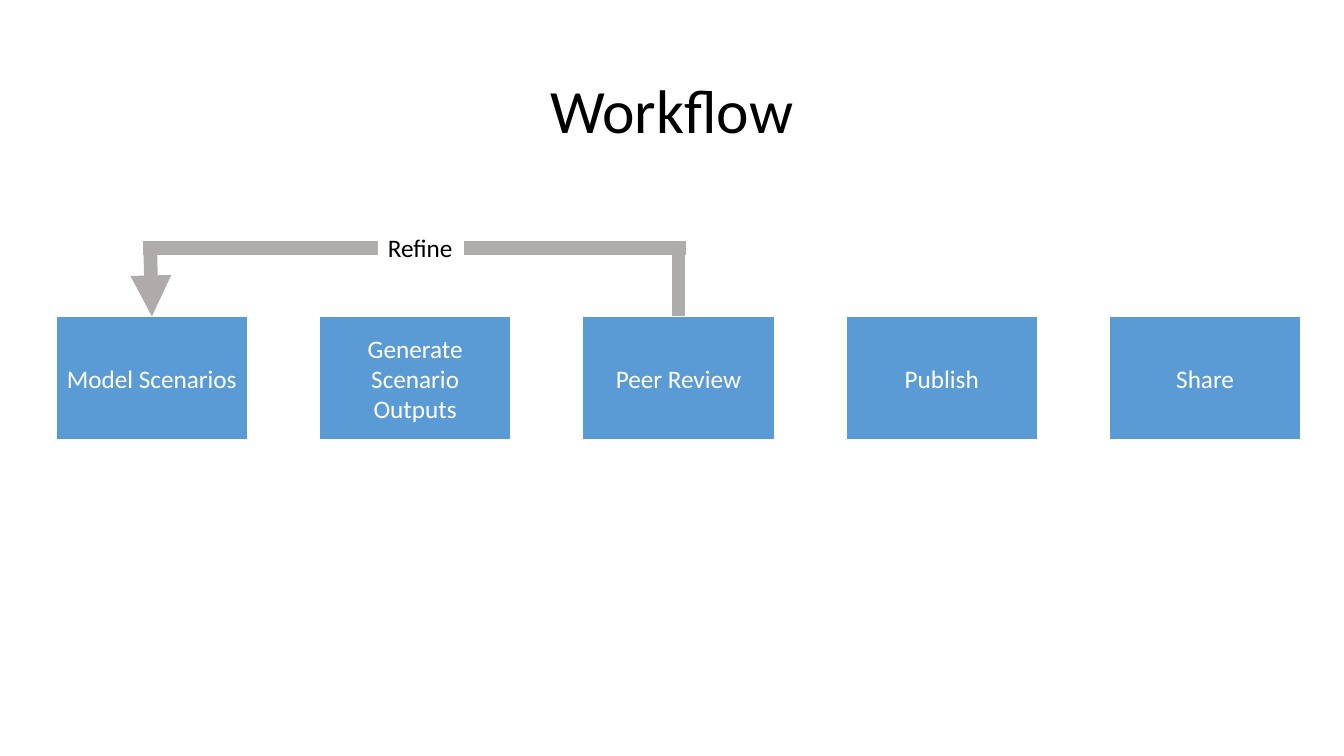
"""Build the Workflow slide: five steps with a Refine loop."""
from lxml.etree import SubElement
from pptx import Presentation
from pptx.dml.color import RGBColor
from pptx.enum.shapes import MSO_CONNECTOR, MSO_SHAPE
from pptx.enum.text import MSO_ANCHOR, PP_ALIGN
from pptx.oxml.ns import qn
from pptx.util import Pt


def color(code):
    return RGBColor.from_string(code)


def write(shape, text, size, code, align, anchor=MSO_ANCHOR.MIDDLE, wrap=True):
    frame = shape.text_frame
    frame.word_wrap = wrap
    frame.vertical_anchor = anchor
    para = frame.paragraphs[0]
    para.text = text
    para.alignment = align
    para.font.name = "Calibri"
    para.font.size = Pt(size)
    para.font.color.rgb = color(code)
    return para


deck = Presentation()
deck.slide_width, deck.slide_height = Pt(960), Pt(540)
slide = deck.slides.add_slide(deck.slide_layouts[6])
shapes = slide.shapes

title = shapes.add_textbox(Pt(66), Pt(28.75), Pt(828), Pt(104.4))
write(title, "Workflow", 44, "000000", PP_ALIGN.CENTER).line_spacing = 0.9

steps = ["Model Scenarios", "Generate Scenario Outputs", "Peer Review", "Publish", "Share"]
for i, step in enumerate(steps):
    box = shapes.add_shape(MSO_SHAPE.RECTANGLE, Pt(39.8 + 188.1 * i), Pt(226), Pt(137.3), Pt(88.4))
    box.shadow.inherit = False
    box.fill.solid()
    box.fill.fore_color.rgb = color("5B9BD5")
    box.line.color.rgb = color("FFFFFF")
    box.line.width = Pt(1.5)
    write(box, step, 18, "FFFFFF", PP_ALIGN.CENTER)

loop = [(484.6, 226, 484.6, 177), (490, 177, 102.2, 177), (107.3, 177, 108.5, 226)]
for ends in loop:
    link = shapes.add_connector(MSO_CONNECTOR.STRAIGHT, *map(Pt, ends))
    link.line.color.rgb = color("AFABAB")
    link.line.width = Pt(9.75)
    SubElement(link._element.spPr, qn("a:effectLst"))
SubElement(link.line._get_or_add_ln(), qn("a:tailEnd"), type="triangle")

label = shapes.add_textbox(Pt(270), Pt(162.3), Pt(61.4), Pt(29))
label.fill.solid()
label.fill.fore_color.rgb = color("FFFFFF")
write(label, "Refine", 18, "000000", PP_ALIGN.LEFT, MSO_ANCHOR.TOP, False)

deck.save("out.pptx")
